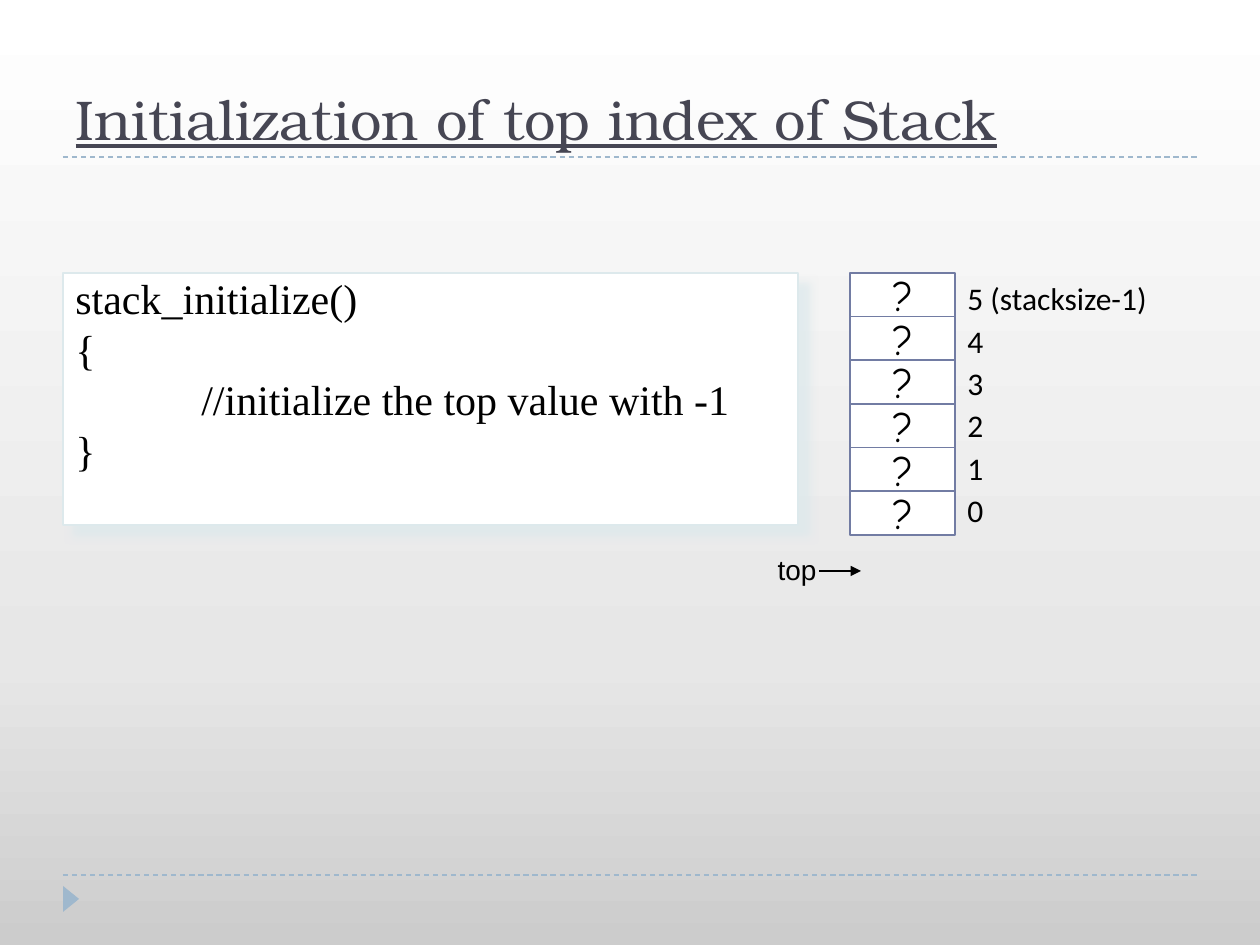
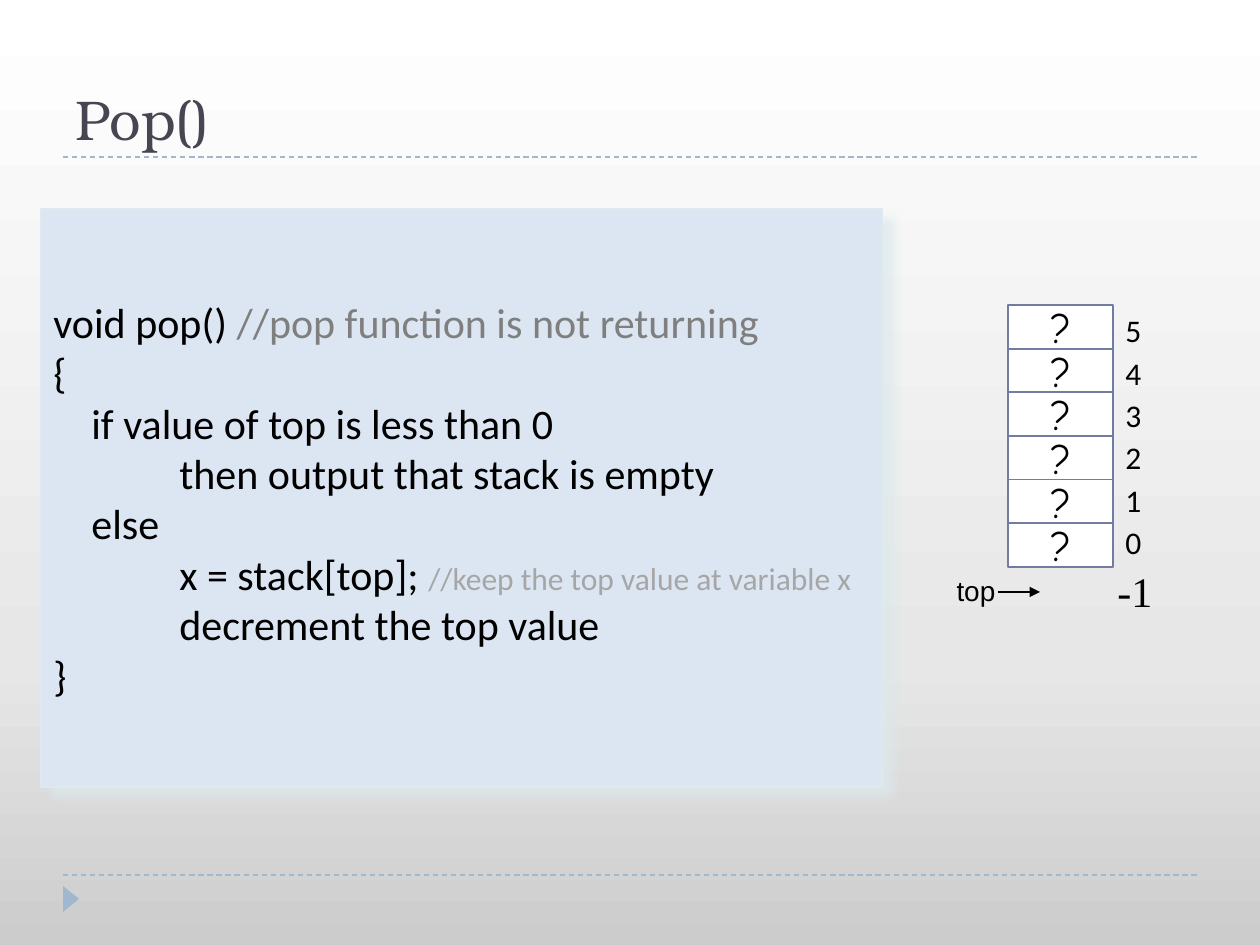
"""Two slides on a stack: initialising the top index, and pop()."""
from lxml import etree
from pptx import Presentation
from pptx.dml.color import RGBColor
from pptx.enum.dml import MSO_LINE
from pptx.enum.shapes import MSO_CONNECTOR, MSO_SHAPE
from pptx.enum.text import MSO_ANCHOR, PP_ALIGN
from pptx.oxml.ns import qn
from pptx.util import Emu, Pt

SCALE = 914400 // 126
STRAIGHT = MSO_CONNECTOR.STRAIGHT
RECTANGLE, TRIANGLE = MSO_SHAPE.RECTANGLE, MSO_SHAPE.ISOSCELES_TRIANGLE
TOP, MIDDLE, BOTTOM = MSO_ANCHOR.TOP, MSO_ANCHOR.MIDDLE, MSO_ANCHOR.BOTTOM
LEFT, CENTER = PP_ALIGN.LEFT, PP_ALIGN.CENTER
DASH = MSO_LINE.DASH

COLORS = {
    "title": "464653", "accent": "9FB8CD", "cell_line": "727CA3",
    "box_line": "DDE9EC", "white": "FFFFFF", "pale_blue": "DCE6F2",
    "black": "000000", "comment": "7F7F7F", "small_comment": "A6A6A6",
}
BACKGROUND_STOPS = [(0, "CCCCCC"), (30, "E7E7E7"), (100, "FFFFFF")]
TITLE_FONT, CODE_FONT, SERIF_FONT = "TeX Gyre Bonum", "Calibri", "Times New Roman"
CELL_FONT, POINTER_FONT = "Comic Neue", "Arial"

TITLE_BOX = (63, 32, 1134, 126)
RULE_LEFT, RULE_RIGHT, RULE_TOPS = 63, 1197, (157, 875)
MARKER_BOX = (58, 891, 26, 16)
CELL_WIDTH, STACK_HEIGHT, LABEL_STEP = 105, 262, 42.4
TAB, HALF_TAB = 126, 38

# A code line is (indent, runs); a run is (text, size, colour).
SLIDES = [
    {
        "title": "Initialization of top index of Stack", "underline": True,
        "code_box": (63, 273, 735, 252), "code_fill": "white",
        "code_font": SERIF_FONT, "code_anchor": TOP,
        "code": [
            (0, [("stack_initialize()", 24, "black")]),
            (0, [("{", 24, "black")]),
            (TAB, [("//initialize the top value with -1", 24, "black")]),
            (0, [("}", 24, "black")]),
        ],
        "stack": (850, 273), "pointer": (765, 546),
        "labels": ["5 (stacksize-1)", "4", "3", "2", "1", "0"],
    },
    {
        "title": "Pop()", "underline": False,
        "code_box": (41, 209, 841, 578), "code_fill": "pale_blue",
        "code_font": CODE_FONT, "code_anchor": MIDDLE,
        "code": [
            (0, [("void pop() ", 24, "black"),
                 ("//pop function is not returning", 24, "comment")]),
            (0, [("{", 24, "black")]),
            (HALF_TAB, [("if value of top is less than 0", 24, "black")]),
            (TAB, [("then output that stack is empty", 24, "black")]),
            (HALF_TAB, [("else", 24, "black")]),
            (TAB, [("x = stack[top]; ", 24, "black"),
                   ("//keep the top value at variable x", 18, "small_comment")]),
            (TAB, [("decrement the top value", 24, "black")]),
            (0, [("}", 24, "black")]),
        ],
        "stack": (1008, 305), "pointer": (944, 567),
        "labels": ["5", "4", "3", "2", "1", "0"],
        "top_value": ("-1", (1077, 575, 116, 31)),
    },
]


def px(*lengths):
    """Turn pixel lengths into EMU."""
    return [Emu(round(length * SCALE)) for length in lengths]


def rgb(name):
    """Look up a named colour."""
    return RGBColor.from_string(COLORS[name])


def add_run(paragraph, text, font, size, color):
    """Append one formatted run and return it."""
    run = paragraph.add_run()
    run.text = text
    run.font.name, run.font.size = font, Pt(size)
    run.font.color.rgb = rgb(color)
    return run


def add_box(shapes, box, fill, line=None, kind=RECTANGLE):
    """Add a flat preset shape with a fill and an optional outline."""
    shape = shapes.add_shape(kind, *px(*box))
    shape.shadow.inherit = False
    shape.fill.solid()
    shape.fill.fore_color.rgb = rgb(fill)
    if line:
        shape.line.color.rgb = rgb(line)
        shape.line.width = Pt(1)
    else:
        shape.line.fill.background()
    return shape


def add_line(slide, start, end, color):
    """Add a thin straight connector without a shadow."""
    line = slide.shapes.add_connector(STRAIGHT, *px(*start, *end))
    line.line.color.rgb = rgb(color)
    line.line.width = Pt(0.75)
    etree.SubElement(line._element.spPr, qn("a:effectLst"))
    return line


def add_label(slide, box, text, font, size, align=LEFT, anchor=TOP):
    """Add a one-line black text box."""
    frame = slide.shapes.add_textbox(*px(*box)).text_frame
    frame.word_wrap = False
    frame.vertical_anchor = anchor
    paragraph = frame.paragraphs[0]
    paragraph.alignment = align
    add_run(paragraph, text, font, size, "black")


def set_background(master):
    """Give the master its vertical grey gradient."""
    fill = master.background.fill
    fill.gradient()
    fill.gradient_angle = 90
    stops = master.element.find(".//" + qn("a:gsLst"))
    for stop in list(stops):
        stops.remove(stop)
    for percent, color in BACKGROUND_STOPS:
        stop = etree.SubElement(stops, qn("a:gs"), pos=str(percent * 1000))
        etree.SubElement(stop, qn("a:srgbClr"), val=color)


def decorate_layout(layout, slide):
    """Place the title, rules and marker on the layout, drawing by way of a slide."""
    title = layout.placeholders[0]
    title.left, title.top, title.width, title.height = px(*TITLE_BOX)
    title.text_frame.vertical_anchor = BOTTOM
    parts = [add_line(slide, (RULE_LEFT, y), (RULE_RIGHT, y), "accent") for y in RULE_TOPS]
    for rule in parts:
        rule.line.dash_style = DASH
    marker = add_box(slide.shapes, MARKER_BOX, "accent", kind=TRIANGLE)
    marker.rotation = 90
    for number, part in enumerate(parts + [marker], start=100):
        part._element.xpath(".//p:cNvPr")[0].set("id", str(number))
        layout.shapes._spTree.append(part._element)


def add_title(slide, text, underline):
    """Fill the title placeholder."""
    paragraph = slide.shapes.title.text_frame.paragraphs[0]
    paragraph.alignment = LEFT
    run = add_run(paragraph, text, TITLE_FONT, 32, "title")
    if underline:
        run.font.underline = True


def add_code(slide, content):
    """Add the shadowed box of code lines."""
    shape = add_box(slide.shapes, content["code_box"], content["code_fill"], "box_line")
    effects = shape._element.spPr.find(qn("a:effectLst"))
    shadow = etree.SubElement(effects, qn("a:outerShdw"), blurRad=str(Pt(5)),
                              dist=str(Pt(8.5)), dir="2700000", algn="tl", rotWithShape="0")
    color = etree.SubElement(shadow, qn("a:srgbClr"), val=COLORS["box_line"])
    etree.SubElement(color, qn("a:alpha"), val="75000")
    frame = shape.text_frame
    frame.word_wrap = True
    frame.margin_top = frame.margin_bottom = 0
    frame.vertical_anchor = content["code_anchor"]
    for index, (indent, runs) in enumerate(content["code"]):
        paragraph = frame.add_paragraph() if index else frame.paragraphs[0]
        paragraph.alignment = LEFT
        paragraph._p.get_or_add_pPr().set("marL", str(indent * SCALE))
        for text, size, color_name in runs:
            add_run(paragraph, text, content["code_font"], size, color_name)


def add_stack(slide, left, top, labels):
    """Add the grouped column of cells with an index beside each."""
    cells = slide.shapes.add_group_shape().shapes
    height = STACK_HEIGHT / len(labels)
    for row, label in enumerate(labels):
        cell = add_box(cells, (left, top + row * height, CELL_WIDTH, height),
                       "white", "cell_line")
        frame = cell.text_frame
        frame.word_wrap = False
        frame.vertical_anchor = MIDDLE
        paragraph = frame.paragraphs[0]
        paragraph.alignment = CENTER
        add_run(paragraph, "?", CELL_FONT, 24, "black")
        width = 43 if len(label) == 1 else 232
        add_label(slide, (left + CELL_WIDTH, top + row * LABEL_STEP, width, 50),
                  label, CODE_FONT, 18)


def add_pointer(slide, left, top):
    """Add the word top and its arrow."""
    add_label(slide, (left, top, 64, 47), "top", POINTER_FONT, 16, CENTER)
    arrow = add_line(slide, (left + 54, top + 25), (left + 96, top + 25), "black")
    outline = arrow._element.spPr.find(qn("a:ln"))
    etree.SubElement(outline, qn("a:tailEnd"), type="triangle")


def main():
    """Build and save both slides."""
    presentation = Presentation()
    presentation.slide_width, presentation.slide_height = px(1260, 945)
    set_background(presentation.slide_master)
    layout = presentation.slide_layouts[5]
    for index, content in enumerate(SLIDES):
        slide = presentation.slides.add_slide(layout)
        if index == 0:
            decorate_layout(layout, slide)
        add_title(slide, content["title"], content["underline"])
        add_code(slide, content)
        add_stack(slide, *content["stack"], content["labels"])
        add_pointer(slide, *content["pointer"])
        if "top_value" in content:
            text, box = content["top_value"]
            add_label(slide, box, text, SERIF_FONT, 24, CENTER, MIDDLE)
    presentation.save("out.pptx")


main()
